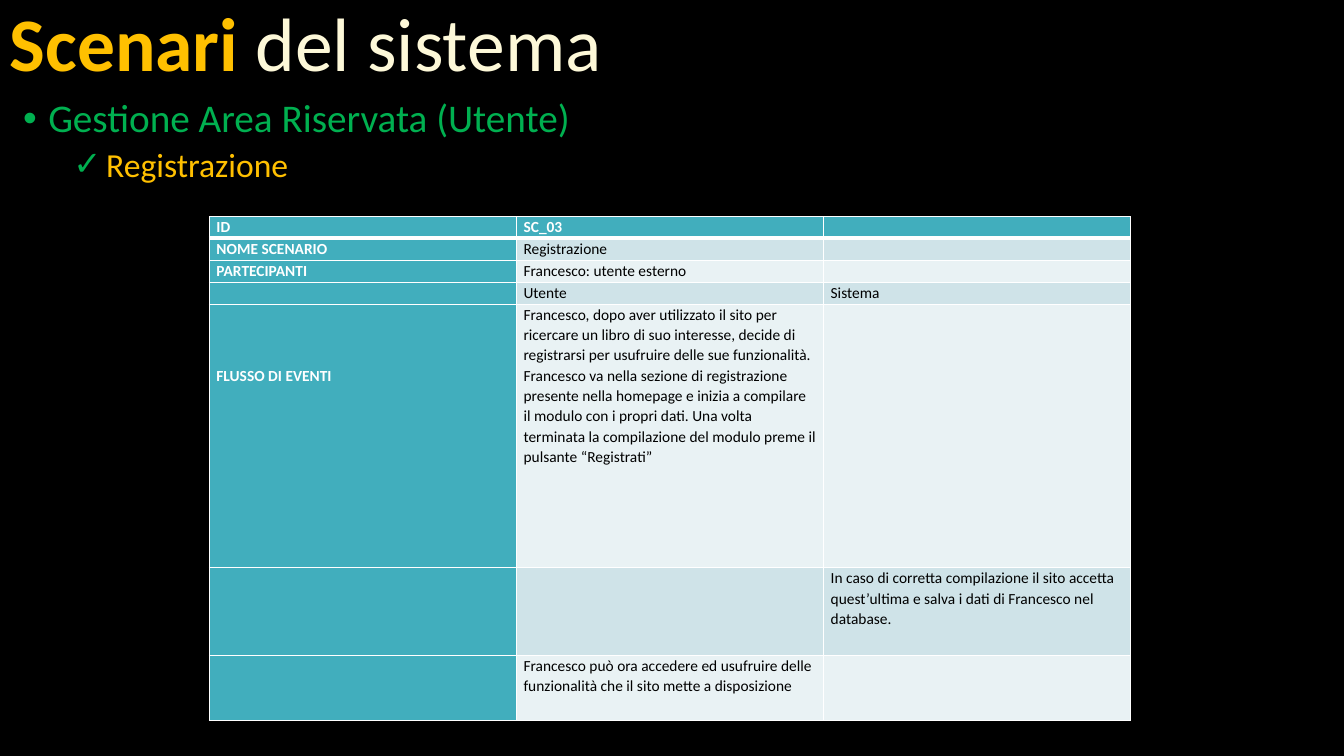
from lxml import etree
from pptx import Presentation
from pptx.dml.color import RGBColor
from pptx.enum import text as tx
from pptx.oxml import ns
from pptx.util import Pt

FONT = "Calibri"
BLACK, WHITE = "000000", "FFFFFF"
GOLD, CREAM, GREEN = "FFC000", "FDF8D8", "00B050"
TEAL, BANDS = "41AEBD", ("E9F2F4", "CFE3E8")

COL = 219.4
ROWS = [
    (15.4, "ID", "SC_03", ""),
    (15.7, "NOME SCENARIO", "Registrazione", ""),
    (15.7, "PARTECIPANTI", "Francesco: utente esterno", ""),
    (15.7, "", "Utente", "Sistema"),
    (188.4, "FLUSSO DI EVENTI",
     "Francesco, dopo aver utilizzato il sito per ricercare un libro di suo "
     "interesse, decide di registrarsi per usufruire delle sue funzionalità. "
     "Francesco va nella sezione di registrazione presente nella homepage e "
     "inizia a compilare il modulo con i propri dati. Una volta terminata la "
     "compilazione del modulo preme il pulsante “Registrati”", ""),
    (62.4, "", "",
     "In caso di corretta compilazione il sito accetta quest’ultima e salva "
     "i dati di Francesco nel database."),
    (46.6, "",
     "Francesco può ora accedere ed usufruire delle funzionalità che il sito "
     "mette a disposizione", ""),
]


def rgb(code):
    return RGBColor.from_string(code)


def style(font, size, color, bold=False):
    font.name, font.size, font.bold = FONT, Pt(size), bold
    font.color.rgb = rgb(color)


def sub(node, tag, **attrs):
    return etree.SubElement(node, ns.qn(tag), attrs)


def box(slide, left, top, width, height, anchor):
    frame = slide.shapes.add_textbox(
        Pt(left), Pt(top), Pt(width), Pt(height)).text_frame
    frame.word_wrap = True
    frame.vertical_anchor = anchor
    return frame


def bullet(para, words, mark, left, hang, size, color):
    para.text = words
    props = para._p.get_or_add_pPr()
    props.set("marL", str(Pt(left)))
    props.set("indent", str(Pt(-hang)))
    sub(sub(props, "a:buClr"), "a:srgbClr", val=GREEN)
    sub(props, "a:buFont", typeface="Arial")
    sub(props, "a:buChar", char=mark)
    para.line_spacing = 0.9
    style(para.font, size, color)


def border(cell, top, bottom):
    props = cell._tc.get_or_add_tcPr()
    sides = (("L", 1), ("R", 1), ("T", top), ("B", bottom))
    for spot, (side, width) in enumerate(sides):
        line = etree.Element(ns.qn("a:ln" + side), w=str(Pt(width)))
        sub(sub(line, "a:solidFill"), "a:srgbClr", val=WHITE)
        props.insert(spot, line)


def fill_cell(cell, words, row, col):
    head = row == 0 or col == 0
    cell.fill.solid()
    cell.fill.fore_color.rgb = rgb(TEAL if head else BANDS[row % 2])
    border(cell, 3 if row == 1 else 1, 3 if row == 0 else 1)
    cell.margin_left = cell.margin_right = Pt(5)
    cell.margin_top = cell.margin_bottom = Pt(0)
    para = cell.text_frame.paragraphs[0]
    para.line_spacing = 1.07
    if words:
        para.text = words
    else:
        # Keep empty cells from stretching the row
        para._p.get_or_add_endParaRPr().set("sz", "1100")
    style(para.font, 11, WHITE if head else BLACK, head)


def grid(slide, left, top):
    high = sum(row[0] for row in ROWS)
    table = slide.shapes.add_table(
        len(ROWS), 3, Pt(left), Pt(top), Pt(3 * COL), Pt(high)).table
    table.first_row = table.horz_banding = False
    for col in table.columns:
        col.width = Pt(COL)
    for r, (height, *cells) in enumerate(ROWS):
        table.rows[r].height = Pt(height)
        for c, words in enumerate(cells):
            fill_cell(table.cell(r, c), words, r, c)
    # The label of the flow sits three lines down
    table.cell(4, 0).margin_top = Pt(43.5)


def main():
    deck = Presentation()
    deck.slide_width, deck.slide_height = Pt(960), Pt(540)
    slide = deck.slides.add_slide(deck.slide_layouts[6])
    slide.background.fill.solid()
    slide.background.fill.fore_color.rgb = rgb(BLACK)

    # Title
    para = box(slide, 0, 0, 792, 67, tx.MSO_ANCHOR.MIDDLE).paragraphs[0]
    para.line_spacing = 0.9
    for words, color, bold in (("Scenari ", GOLD, True),
                               ("del sistema", CREAM, False)):
        run = para.add_run()
        run.text = words
        style(run.font, 54, color, bold)

    # Topic and scenario
    body = box(slide, 9.4, 67, 942, 464, tx.MSO_ANCHOR.TOP)
    bullet(body.paragraphs[0], "Gestione Area Riservata (Utente)", "•",
           18, 18, 28, GREEN)
    para = body.add_paragraph()
    bullet(para, "Registrazione", "✓", 59.4, 23.4, 24, GOLD)
    para.space_before = Pt(5)

    # Scenario table
    grid(slide, 149.6, 154.8)
    deck.save("out.pptx")


if __name__ == "__main__":
    main()
